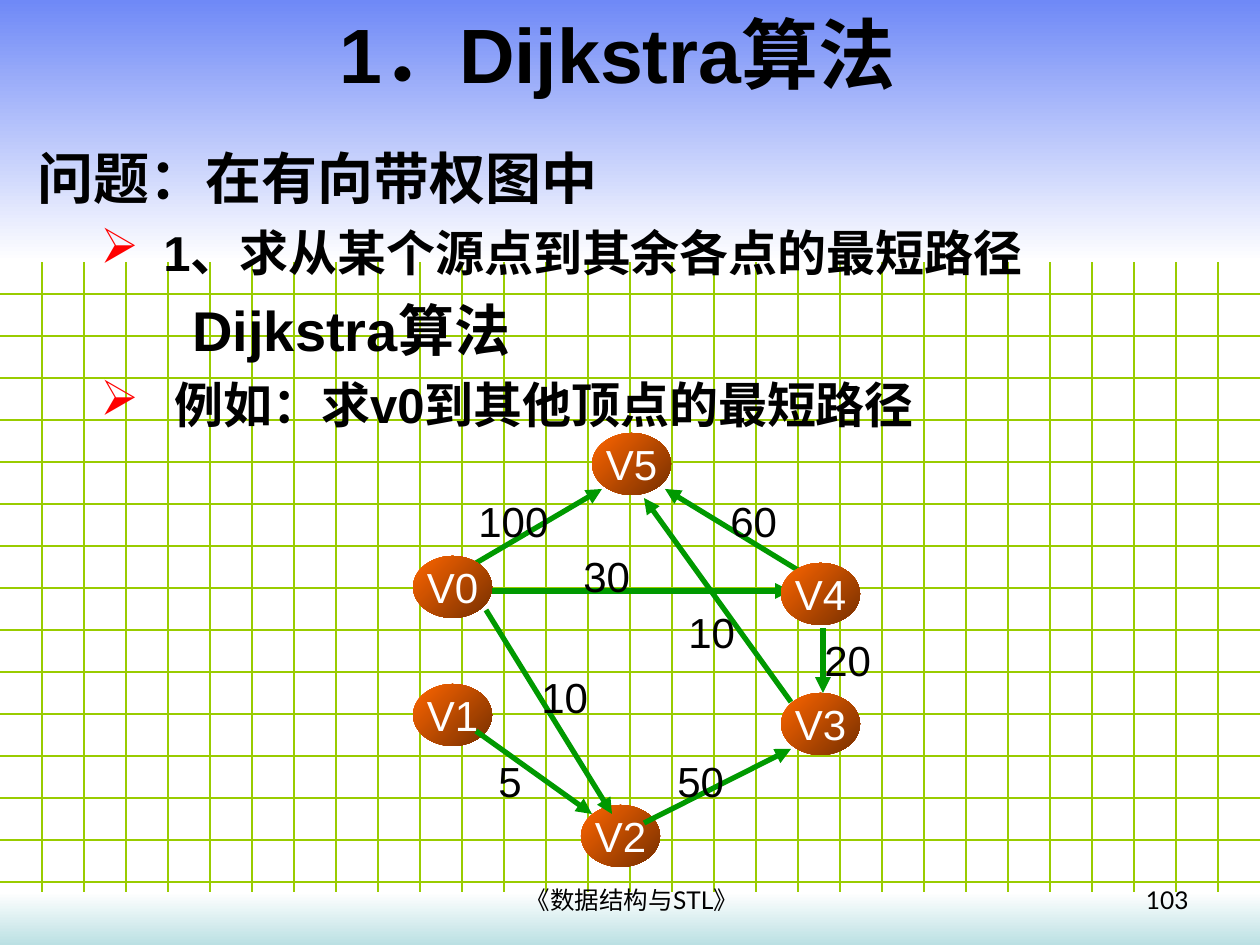
"""Build the slide that introduces Dijkstra's algorithm on a weighted digraph."""
from typing import NamedTuple, Optional

from lxml.etree import SubElement as Sub
from pptx import Presentation
from pptx.dml.color import RGBColor as Rgb
from pptx.enum.shapes import MSO_CONNECTOR as Conn, MSO_SHAPE as Kind
from pptx.enum.text import MSO_ANCHOR as Anchor, MSO_AUTO_SIZE as Auto, PP_ALIGN as Align
from pptx.oxml.ns import qn
from pptx.util import Pt

SCALE = 914400 / 126
WIDE, HIGH = 1260, 945
CELL = 42
SKY, SEA = 262, 892
HUES = {
    "grid": "99CC00", "sky": "6F89F7", "sea": "BBE0E3", "white": "FFFFFF",
    "black": "000000", "edge": "009900", "fire": "FF6600", "rust": "762F00",
    "mark": "FF0000",
}


class Node(NamedTuple):
    name: str
    x: int
    y: int


class Edge(NamedTuple):
    x1: int
    y1: int
    x2: int
    y2: int


class Label(NamedTuple):
    text: str
    x: int
    y: int
    w: int = 105
    h: int = 63
    size: int = 24
    font: str = "Arial"
    align: Optional[Align] = None


class Item(NamedTuple):
    text: str
    size: int
    gap: int
    left: int
    hang: int = 0


UNDER = [Edge(486, 591, 791, 591), Edge(801, 572, 665, 489), Edge(476, 563, 602, 489)]
NODES = [Node("V5", 592, 433), Node("V1", 413, 684), Node("V3", 781, 693),
         Node("V0", 413, 556), Node("V4", 781, 563), Node("V2", 581, 805)]
OVER = [Edge(476, 731, 592, 814), Edge(486, 610, 612, 814), Edge(644, 823, 791, 749),
        Edge(791, 702, 644, 498), Edge(823, 628, 823, 693)]
COSTS = [Label("100", 466, 489), Label("60", 718, 489), Label("30", 571, 544),
         Label("10", 676, 600), Label("10", 529, 665), Label("5", 486, 749),
         Label("50", 665, 749), Label("20", 812, 628)]
FOOT = [Label("103", 907, 879, 294, 45, 14, "Lato", Align.RIGHT),
        Label("《数据结构与STL》", 432, 879, 400, 45, 14, "Lato", Align.CENTER)]
ITEMS = [Item("问题：在有向带权图中", 32, 0, 0),
         Item("1、求从某个源点到其余各点的最短路径", 28, 7, 126, 63),
         Item("Dijkstra算法", 32, 8, 155),
         Item("例如：求v0到其他顶点的最短路径", 28, 7, 137, 74)]


def px(num: int) -> int:
    return round(num * SCALE)


def hue(key: str) -> Rgb:
    return Rgb.from_string(HUES[key])


def style(para, size: int, font: str = "Arial", key: str = "black", bold: bool = False) -> None:
    for run in para.runs:
        run.font.size, run.font.name, run.font.bold = Pt(size), font, bold
        run.font.color.rgb = hue(key)


def line(slide, edge: Edge, key: str, width: float, arrow: bool = False) -> None:
    link = slide.shapes.add_connector(Conn.STRAIGHT, *map(px, edge))
    link.line.color.rgb, link.line.width = hue(key), Pt(width)
    props = link._element.spPr
    if arrow:
        Sub(props.find(qn("a:ln")), qn("a:tailEnd"), type="triangle")
    Sub(props, qn("a:effectLst"))


def blend(slide, kind: Kind, box: tuple, keys: tuple, angle: int):
    shape = slide.shapes.add_shape(kind, *map(px, box))
    shape.shadow.inherit = False
    shape.line.fill.background()
    shape.fill.gradient()
    shape.fill.gradient_angle = 360 - angle
    for stop, key in zip(shape.fill.gradient_stops, keys):
        stop.color.rgb = hue(key)
    return shape


def vertex(slide, node: Node) -> None:
    oval = blend(slide, Kind.OVAL, (node.x, node.y, 79, 62), ("fire", "rust"), 45)
    frame = oval.text_frame
    frame.text, frame.word_wrap = node.name, False
    frame.vertical_anchor = Anchor.MIDDLE
    frame.paragraphs[0].alignment = Align.CENTER
    style(frame.paragraphs[0], 24, key="white")


def write(slide, label: Label) -> None:
    box = slide.shapes.add_textbox(*map(px, label[1:5]))
    frame = box.text_frame
    frame.text, frame.word_wrap = label.text, True
    frame.paragraphs[0].alignment = label.align
    style(frame.paragraphs[0], label.size, label.font)


def outline(slide) -> None:
    frame = slide.shapes.add_textbox(*map(px, (25, 137, 1201, 732))).text_frame
    frame.word_wrap = True
    for num, item in enumerate(ITEMS):
        para = frame.add_paragraph() if num else frame.paragraphs[0]
        para.text = item.text
        props = para._p.get_or_add_pPr()
        props.set("marL", str(px(item.left)))
        props.set("indent", str(-px(item.hang)))
        if item.hang:
            Sub(Sub(props, qn("a:buClr")), qn("a:srgbClr"), val=HUES["mark"])
            Sub(props, qn("a:buChar"), char="➢")
        para.space_before = Pt(item.gap)
        style(para, item.size, bold=True)


def heading(slide) -> None:
    title = slide.shapes.title
    title.left, title.top, title.width, title.height = map(px, (0, 0, 1235, 106))
    frame = title.text_frame
    frame.text, frame.auto_size = "1．Dijkstra算法", Auto.NONE
    frame.vertical_anchor = Anchor.MIDDLE
    frame.paragraphs[0].alignment = Align.CENTER
    style(frame.paragraphs[0], 44, bold=True)
    title._element.getparent().append(title._element)


def backdrop(slide) -> None:
    for y in range(7 * CELL, SEA, CELL):
        line(slide, Edge(0, y, WIDE, y), "grid", 0.75)
    for x in range(CELL, WIDE, CELL):
        line(slide, Edge(x, SKY, x, SEA), "grid", 0.75)
    blend(slide, Kind.RECTANGLE, (0, 0, WIDE, SKY), ("sky", "white"), 90)
    blend(slide, Kind.RECTANGLE, (0, SEA, WIDE, HIGH - SEA), ("white", "sea"), 90)


def main() -> None:
    deck = Presentation()
    deck.slide_width, deck.slide_height = px(WIDE), px(HIGH)
    slide = deck.slides.add_slide(deck.slide_layouts[5])
    backdrop(slide)
    heading(slide)
    outline(slide)
    for label in FOOT:
        write(slide, label)
    for edge in UNDER:
        line(slide, edge, "edge", 3, True)
    for node in NODES:
        vertex(slide, node)
    for edge in OVER:
        line(slide, edge, "edge", 3, True)
    for label in COSTS:
        write(slide, label)
    deck.save("out.pptx")


if __name__ == "__main__":
    main()
